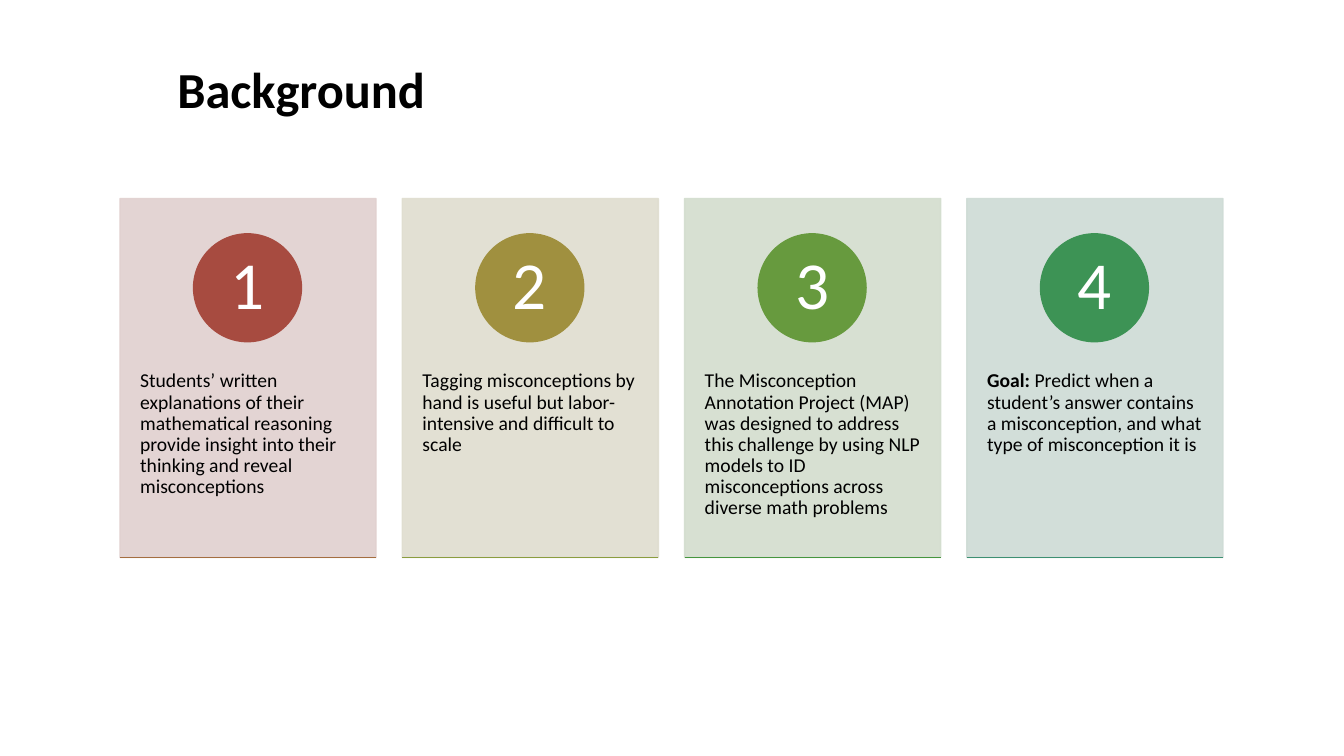
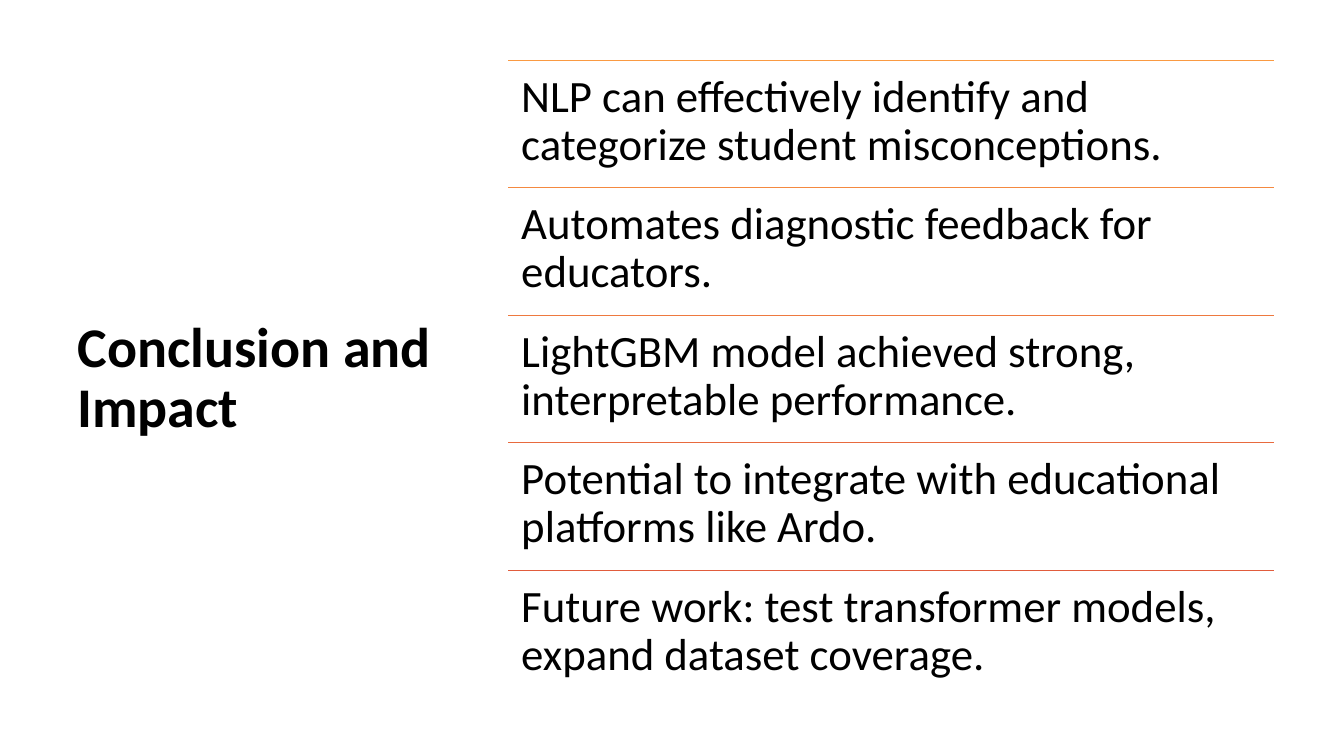
from lxml import etree
from pptx import Presentation
from pptx.dml.color import RGBColor
from pptx.enum.shapes import MSO_CONNECTOR, MSO_SHAPE
from pptx.enum.text import MSO_ANCHOR, PP_ALIGN
from pptx.oxml.ns import qn
from pptx.util import Pt

PX = 9144
WIDE, HIGH = 1333, 750
FONT = "Calibri"

RECT, OVAL = MSO_SHAPE.RECTANGLE, MSO_SHAPE.OVAL
LINE = MSO_CONNECTOR.STRAIGHT
TOP, MID = MSO_ANCHOR.TOP, MSO_ANCHOR.MIDDLE
LEFT, CENTER = PP_ALIGN.LEFT, PP_ALIGN.CENTER

BLACK = RGBColor(0x00, 0x00, 0x00)
WHITE = RGBColor(0xFF, 0xFF, 0xFF)
ROSE = RGBColor(0xE1, 0xD0, 0xCF)
SAND = RGBColor(0xDF, 0xDD, 0xCF)
SAGE = RGBColor(0xD3, 0xDD, 0xCE)
MIST = RGBColor(0xCE, 0xDB, 0xD5)
RED = RGBColor(0xA7, 0x4B, 0x40)
GOLD = RGBColor(0xA0, 0x90, 0x3F)
GREEN = RGBColor(0x67, 0x9A, 0x3E)
JADE = RGBColor(0x3D, 0x93, 0x55)
BROWN = RGBColor(0xA4, 0x6E, 0x40)
OLIVE = RGBColor(0x8B, 0x9D, 0x3F)
LEAF = RGBColor(0x45, 0x96, 0x3E)
TEAL = RGBColor(0x3D, 0x90, 0x72)
AMBER = RGBColor(0xFA, 0x9A, 0x42)
ORANGE = RGBColor(0xF4, 0x89, 0x40)
PEACH = RGBColor(0xEE, 0x79, 0x3F)
CORAL = RGBColor(0xE8, 0x6A, 0x3E)
BRICK = RGBColor(0xE1, 0x5C, 0x3D)

CARDS = [
    (ROSE, RED, BROWN, "",
     "Students’ written explanations of their mathematical reasoning "
     "provide insight into their thinking and reveal misconceptions"),
    (SAND, GOLD, OLIVE, "",
     "Tagging misconceptions by hand is useful but labor-intensive "
     "and difficult to scale"),
    (SAGE, GREEN, LEAF, "",
     "The Misconception Annotation Project (MAP) was designed to address "
     "this challenge by using NLP models to ID misconceptions across "
     "diverse math problems"),
    (MIST, JADE, TEAL, "Goal: ",
     "Predict when a student’s answer contains a misconception, "
     "and what type of misconception it is"),
]

POINTS = [
    (AMBER, "NLP can effectively identify and categorize student misconceptions."),
    (ORANGE, "Automates diagnostic feedback for educators."),
    (PEACH, "LightGBM model achieved strong, interpretable performance."),
    (CORAL, "Potential to integrate with educational platforms like Ardo."),
    (BRICK, "Future work: test transformer models, expand dataset coverage."),
]


def write(shape, text, size=14, color=BLACK, bold=False, lead="",
          align=LEFT, anchor=TOP, pad=(10, 5)):
    frame = shape.text_frame
    frame.word_wrap = True
    frame.vertical_anchor = anchor
    frame.margin_left = frame.margin_right = pad[0] * PX
    frame.margin_top = frame.margin_bottom = pad[1] * PX
    para = frame.paragraphs[0]
    para.alignment = align
    para.line_spacing = 0.9
    for part, heavy in ((lead, True), (text, bold)):
        if part:
            run = para.add_run()
            run.text = part
            run.font.name = FONT
            run.font.size = Pt(size)
            run.font.bold = heavy
            run.font.color.rgb = color


class Deck:
    def __init__(self):
        self.file = Presentation()
        self.file.slide_width = WIDE * PX
        self.file.slide_height = HIGH * PX
        self.slide = None

    def page(self):
        self.slide = self.file.slides.add_slide(self.file.slide_layouts[6])

    def text(self, x, y, w, h, text, **style):
        box = self.slide.shapes.add_textbox(x * PX, y * PX, w * PX, h * PX)
        write(box, text, **style)

    def title(self, x, y, w, h, text, **style):
        self.text(x, y, w, h, text, bold=True, **style)

    def shape(self, kind, x, y, w, h, color, alpha=100):
        item = self.slide.shapes.add_shape(kind, x * PX, y * PX, w * PX, h * PX)
        item.shadow.inherit = False
        item.fill.solid()
        item.fill.fore_color.rgb = color
        item.line.color.rgb = color
        item.line.width = Pt(1)
        if alpha < 100:
            for tint in item._element.spPr.iter(qn("a:srgbClr")):
                etree.SubElement(tint, qn("a:alpha"), val=str(alpha * 1000))
        return item

    def rule(self, x, y, w, color):
        line = self.slide.shapes.add_connector(
            LINE, x * PX, y * PX, (x + w) * PX, y * PX)
        line.line.color.rgb = color
        line.line.width = Pt(1)
        etree.SubElement(line._element.spPr, qn("a:effectLst"))

    def card(self, x, y, w, h, num, fill, dot, edge, lead, text):
        size = 107
        self.shape(RECT, x, y, w, h, fill, alpha=90)
        self.text(x, y + 135, w, 214, text, lead=lead, pad=(20, 36))
        disc = self.shape(OVAL, x + (w - size) // 2, y + 35, size, size, dot)
        write(disc, str(num), size=48, color=WHITE, align=CENTER,
              anchor=MID, pad=(8, 1))
        self.rule(x, y + h, w, edge)

    def point(self, x, y, w, h, color, text):
        self.rule(x, y, w, color)
        self.text(x, y, w, h, text, size=32, pad=(13, 13))


def main():
    deck = Deck()

    deck.page()
    deck.title(166, 60, 1002, 124, "Background", size=36)
    for i, card in enumerate(CARDS):
        deck.card(119 + 280 * i, 197, 254, 356, i + 1, *card)

    deck.page()
    deck.title(67, 60, 382, 633, "Conclusion and Impact", size=40, anchor=MID)
    for i, point in enumerate(POINTS):
        deck.point(504, 60 + 633 * i // len(POINTS), 760, 127, *point)

    deck.file.save("out.pptx")


if __name__ == "__main__":
    main()
